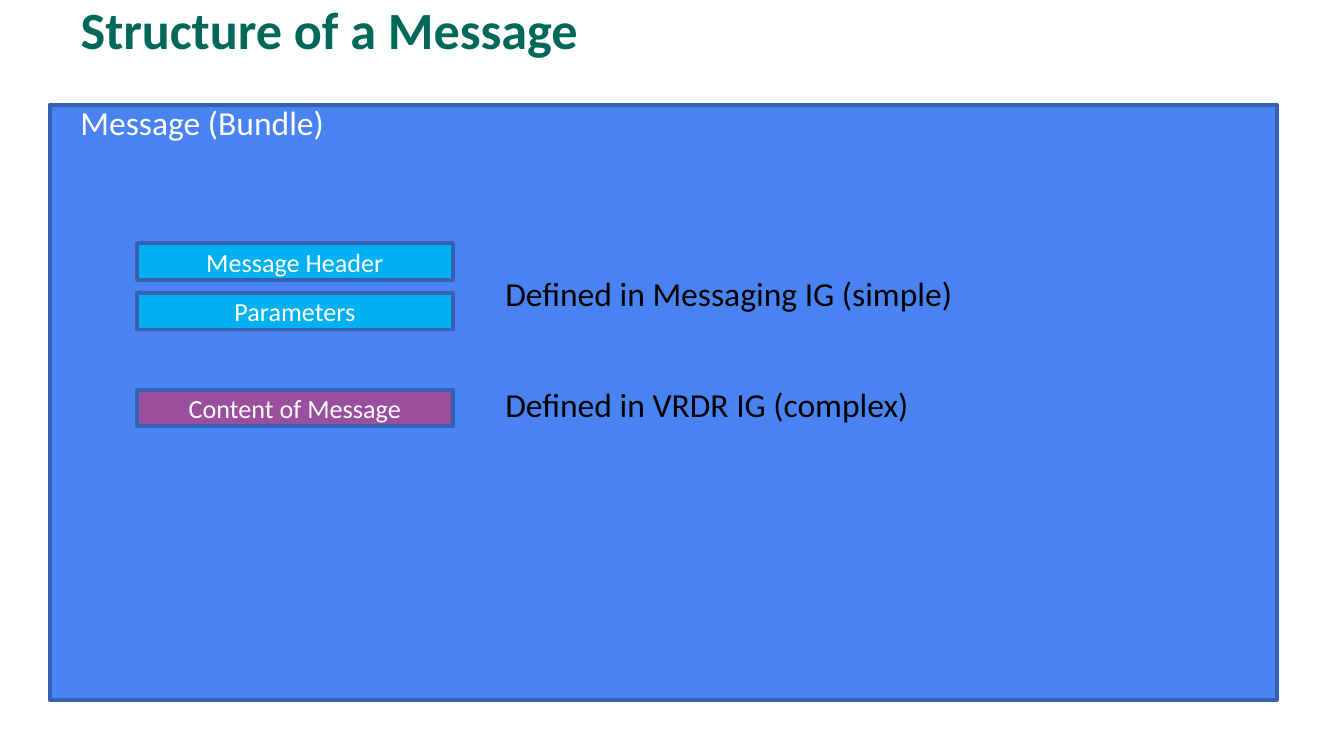
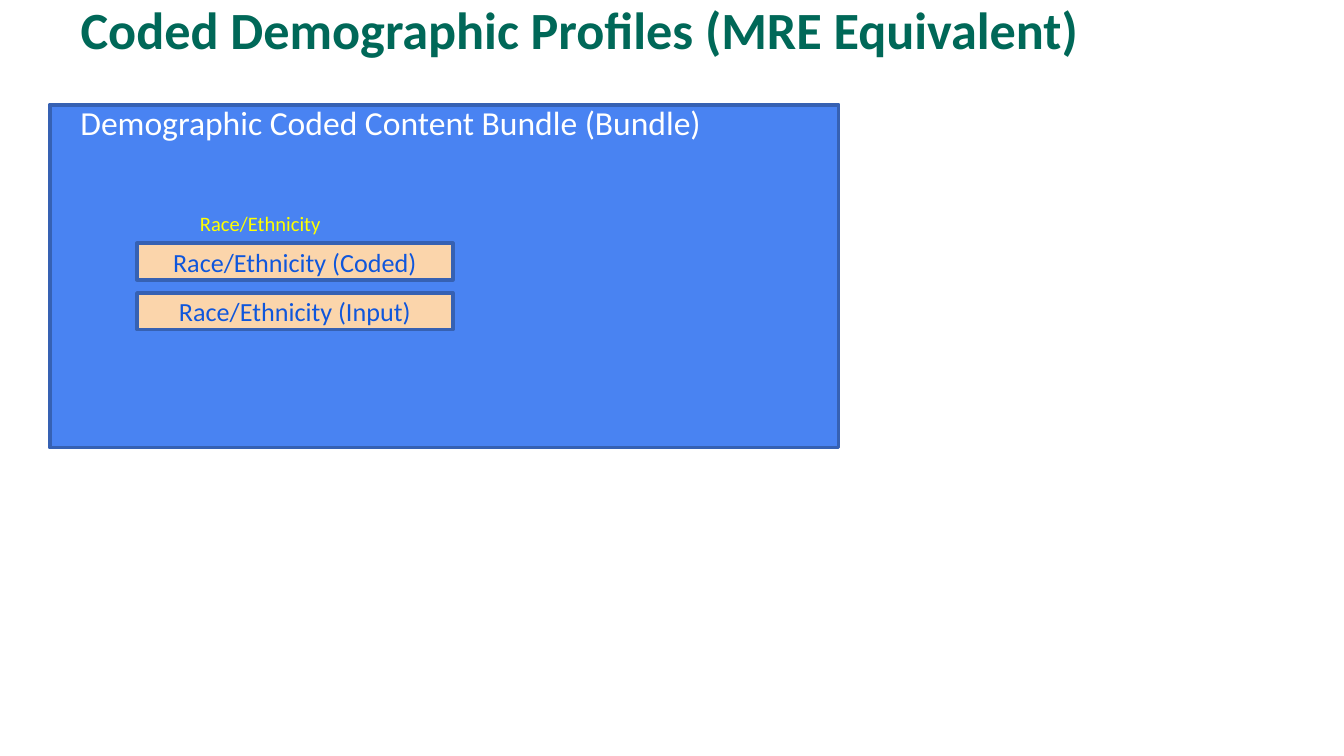
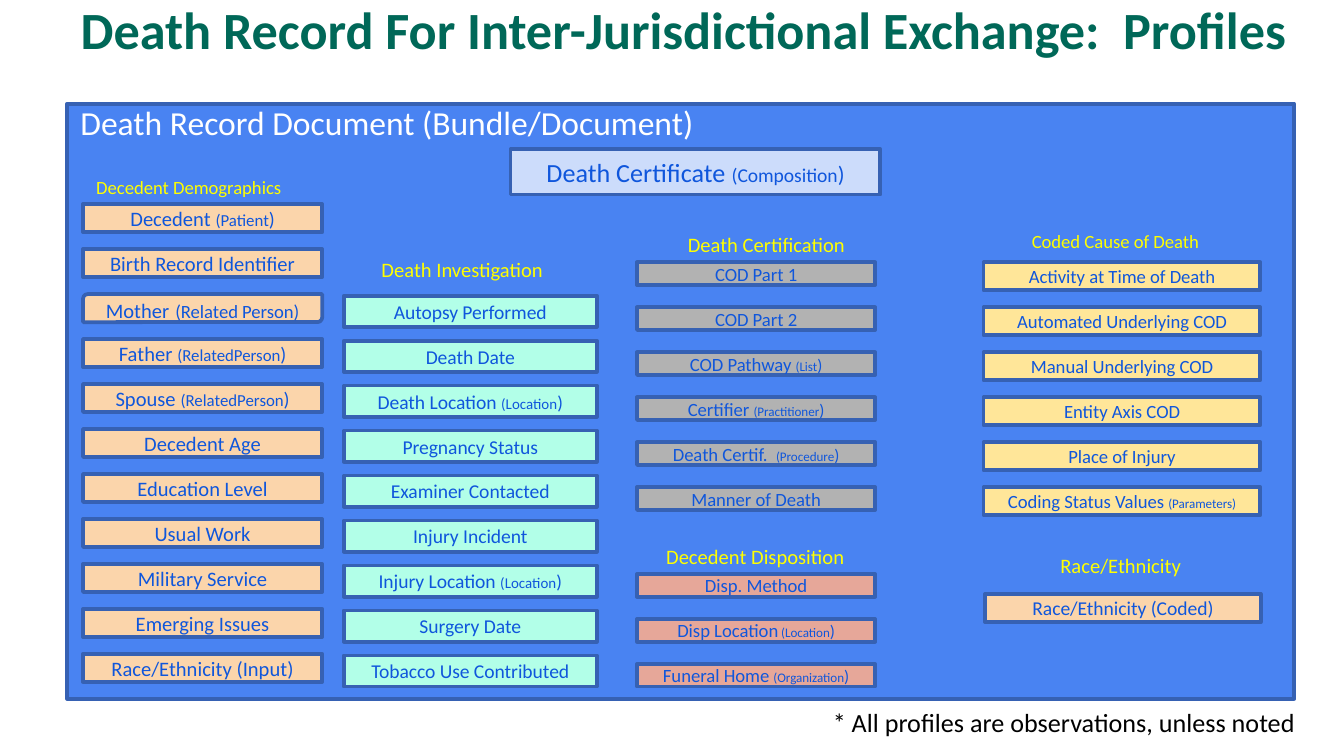
import dataclasses

import pptx
import pptx.dml.color
import pptx.enum.shapes
import pptx.enum.text
import pptx.util

Cm = pptx.util.Cm
Pt = pptx.util.Pt
Outline = pptx.enum.shapes.MSO_SHAPE
Anchor = pptx.enum.text.MSO_ANCHOR
Align = pptx.enum.text.PP_ALIGN
AutoSize = pptx.enum.text.MSO_AUTO_SIZE


@dataclasses.dataclass(frozen=True)
class Theme:
    font: str = "Calibri"
    # Colours
    title: str = "006858"
    panel: str = "4983F2"
    border: str = "3661B3"
    white: str = "FFFFFF"
    black: str = "000000"
    heading: str = "FFFF00"
    profile: str = "0F56DC"
    envelope: str = "00B0F0"
    content: str = "9A4E9E"
    composition: str = "CCDCFB"
    demographics: str = "FBD5AB"
    investigation: str = "B2FFE8"
    certification: str = "B2B2B2"
    disposition: str = "E6A799"
    cause: str = "FFE699"
    # Type sizes; triples are name, qualifier, closing bracket
    title_size: float = 28
    title_leading: float = 30
    caption_size: float = 18
    block_size: float = 14
    heading_size: float = 11
    small_heading_size: float = 10
    composition_sizes: tuple = (14, 10.5, 12)
    large_sizes: tuple = (11, 9, 10.5)
    medium_sizes: tuple = (10.5, 8, 10)
    small_sizes: tuple = (10, 7, 9)
    mother_sizes: tuple = (11, 14, 10)
    border_width: float = 2


THEME = Theme()


@dataclasses.dataclass(frozen=True)
class Box:
    """A region in centimetres."""
    left: float
    top: float
    width: float
    height: float

    def inner(self, dx, dy, width, height):
        return Box(self.left + dx, self.top + dy, width, height)

    def lengths(self):
        return [Cm(v) for v in (self.left, self.top, self.width, self.height)]


@dataclasses.dataclass(frozen=True)
class Profile:
    """A profile whose sizes or outline differ from its group."""
    text: str
    sizes: tuple
    outline: int


WIDE_PANEL = Box(0.94, 1.98, 23.19, 11.25)
CODED_PANEL = Box(0.94, 1.98, 14.91, 6.48)
RECORD_PANEL = Box(1.27, 1.96, 23.19, 11.25)
BLOCK_LEFT, BLOCK_TOP, BLOCK_WIDTH, BLOCK_HEIGHT = 1.65, 2.62, 5.97, 0.69
BLOCK_PITCH = 0.94
PROFILE_PITCH = 0.85
LINE_HEIGHT = 1.02


def rgb(value):
    return pptx.dml.color.RGBColor.from_string(value)


def write(frame, text, *, sizes, color, bold=False, align=Align.LEFT, leading=None):
    """Write one paragraph; "|" starts a run in the next of the sizes."""
    paragraph = frame.paragraphs[0]
    paragraph.alignment = align
    if leading:
        paragraph.line_spacing = Pt(leading)
    for part, size in zip(text.split("|"), sizes):
        run = paragraph.add_run()
        run.text = part
        run.font.name = THEME.font
        run.font.size = Pt(size)
        run.font.bold = bold
        run.font.color.rgb = rgb(color)


def add_block(slide, box, fill, text="", *, sizes=(THEME.block_size,),
              color=THEME.profile, outline=Outline.RECTANGLE):
    block = slide.shapes.add_shape(outline, *box.lengths())
    block.shadow.inherit = False
    block.fill.solid()
    block.fill.fore_color.rgb = rgb(fill)
    block.line.color.rgb = rgb(THEME.border)
    block.line.width = Pt(THEME.border_width)
    if text:
        block.text_frame.vertical_anchor = Anchor.MIDDLE
        write(block.text_frame, text, sizes=sizes, color=color, align=Align.CENTER)


def add_label(slide, box, text, *, size, color, wrap=False):
    frame = slide.shapes.add_textbox(*box.lengths()).text_frame
    frame.word_wrap = wrap
    frame.auto_size = AutoSize.SHAPE_TO_FIT_TEXT
    write(frame, text, sizes=(size,), color=color)


def add_titled_slide(deck, text, width=22.86):
    slide = deck.slides.add_slide(deck.slide_layouts[5])
    title = slide.shapes.title
    title.left, title.top, title.width, title.height = Box(0.5 * 2.54, -0.43, width, 1.7).lengths()
    title.text_frame.auto_size = AutoSize.NONE
    title.text_frame.vertical_anchor = Anchor.BOTTOM
    write(title.text_frame, text, sizes=(THEME.title_size,), color=THEME.title,
          bold=True, leading=THEME.title_leading)
    return slide


def add_panel(slide, panel, caption, caption_width, dx=0.33, dy=-0.18):
    add_block(slide, panel, THEME.panel)
    add_label(slide, panel.inner(dx, dy, caption_width, LINE_HEIGHT), caption,
              size=THEME.caption_size, color=THEME.white)


def add_profile_group(slide, first, fill, profiles, sizes, heading, heading_box,
                      heading_size=THEME.heading_size, wrap=False):
    """Stack profiles down from the first box, with a heading placed relative to it."""
    add_label(slide, first.inner(*heading_box), heading,
              size=heading_size, color=THEME.heading, wrap=wrap)
    for row, profile in enumerate(profiles):
        if isinstance(profile, str):
            profile = Profile(profile, sizes, Outline.RECTANGLE)
        box = first.inner(0, row * PROFILE_PITCH, first.width, first.height)
        add_block(slide, box, fill, profile.text, sizes=profile.sizes,
                  outline=profile.outline)


def build_message_slide(deck, panel):
    slide = add_titled_slide(deck, "Structure of a Message")
    add_panel(slide, panel, "Message (Bundle)", 5.18)
    # Parts of the message
    for text, dy, fill in (
        ("Message Header", BLOCK_TOP, THEME.envelope),
        ("Parameters", BLOCK_TOP + BLOCK_PITCH, THEME.envelope),
        ("Content of Message", 5.39, THEME.content),
    ):
        add_block(slide, panel.inner(BLOCK_LEFT, dy, BLOCK_WIDTH, BLOCK_HEIGHT),
                  fill, text, color=THEME.white)
    # Where each part is defined
    for text, dy, width in (
        ("Defined in Messaging IG (simple)", 3.05, 9.07),
        ("Defined in VRDR IG (complex)", 5.16, 8.23),
    ):
        add_label(slide, panel.inner(8.36, dy, width, LINE_HEIGHT), text,
                  size=THEME.caption_size, color=THEME.black)


def build_coded_slide(deck, panel):
    slide = add_titled_slide(deck, "Coded Demographic Profiles (MRE Equivalent)")
    add_panel(slide, panel, "Demographic Coded Content Bundle (Bundle)", 12.4)
    add_label(slide, panel.inner(2.59, 1.88, 2.79, 0.74), "Race/Ethnicity",
              size=THEME.heading_size, color=THEME.heading)
    for row, text in enumerate(("Race/Ethnicity (Coded)", "Race/Ethnicity (Input)")):
        box = panel.inner(BLOCK_LEFT, BLOCK_TOP + row * BLOCK_PITCH,
                          BLOCK_WIDTH, BLOCK_HEIGHT)
        add_block(slide, box, THEME.demographics, text)


def build_record_slide(deck, panel):
    slide = add_titled_slide(
        deck, "Death Record For Inter-Jurisdictional Exchange:  Profiles", 23.57)
    add_panel(slide, panel, "Death Record Document (Bundle/Document)", 12.27, 0, -0.16)
    add_block(slide, panel.inner(8.38, 0.86, 6.99, 0.86), THEME.composition,
              "Death Certificate |(Composition|)", sizes=THEME.composition_sizes)

    # Left column
    add_profile_group(
        slide, panel.inner(0.3, 1.9, 4.52, 0.53), THEME.demographics,
        ("Decedent |(Patient|)", "Birth Record Identifier",
         Profile("Mother| |(Related Person)", THEME.mother_sizes,
                 Outline.ROUND_2_DIAG_RECTANGLE),
         "Father |(RelatedPerson|)", "Spouse |(RelatedPerson|)", "Decedent Age",
         "Education Level", "Usual Work", "Military Service", "Emerging Issues",
         "Race/Ethnicity (Input)"),
        THEME.large_sizes, "Decedent Demographics", (0, -0.66, 4.32, 0.69),
        THEME.small_heading_size, wrap=True)

    # Second column
    add_profile_group(
        slide, panel.inner(5.23, 3.63, 4.78, 0.59), THEME.investigation,
        ("Autopsy Performed", "Death Date", "Death Location |(Location|)",
         "Pregnancy Status", "Examiner Contacted", "Injury Incident",
         "Injury Location |(Location|)", "Surgery Date", "Tobacco Use Contributed"),
        THEME.medium_sizes, "Death Investigation", (0.46, -0.86, 3.61, 0.74))

    # Third column
    add_profile_group(
        slide, panel.inner(10.77, 3, 4.5, 0.43), THEME.certification,
        ("COD Part 1", "COD Part 2", "COD Pathway |(List|)",
         "Certifier |(Practitioner|)", "Death Certif.  |(Procedure|)",
         "Manner of Death"),
        THEME.small_sizes, "Death Certification", (0.71, -0.69, 3.51, 0.74))
    add_profile_group(
        slide, panel.inner(10.77, 8.89, 4.5, 0.43), THEME.disposition,
        ("Disp. Method", "Disp Location| (Location|)", "Funeral Home |(Organization|)"),
        THEME.small_sizes, "Decedent Disposition", (0.3, -0.69, 3.89, 0.74))

    # Right column
    add_profile_group(
        slide, panel.inner(17.32, 3, 5.23, 0.53), THEME.cause,
        ("Activity at Time of Death", "Automated Underlying COD",
         "Manual Underlying COD", "Entity Axis COD", "Place of Injury",
         "Coding Status Values |(Parameters)"),
        THEME.small_sizes, "Coded Cause of Death", (0.66, -0.74, 3.89, 0.69),
        THEME.small_heading_size, wrap=True)
    add_profile_group(
        slide, panel.inner(17.35, 9.27, 5.21, 0.53), THEME.demographics,
        ("Race/Ethnicity (Coded)",),
        THEME.medium_sizes, "Race/Ethnicity", (1.17, -0.91, 3.58, 0.74), wrap=True)

    # Footnote
    add_label(slide, panel.inner(14.22, 11.27, 9.35, 0.86),
              "* All profiles are observations, unless noted",
              size=THEME.block_size, color=THEME.black)


def main():
    deck = pptx.Presentation()
    deck.slide_width, deck.slide_height = Cm(25.4), Cm(14.29)
    build_message_slide(deck, WIDE_PANEL)
    build_coded_slide(deck, CODED_PANEL)
    build_record_slide(deck, RECORD_PANEL)
    deck.save("out.pptx")


if __name__ == "__main__":
    main()
